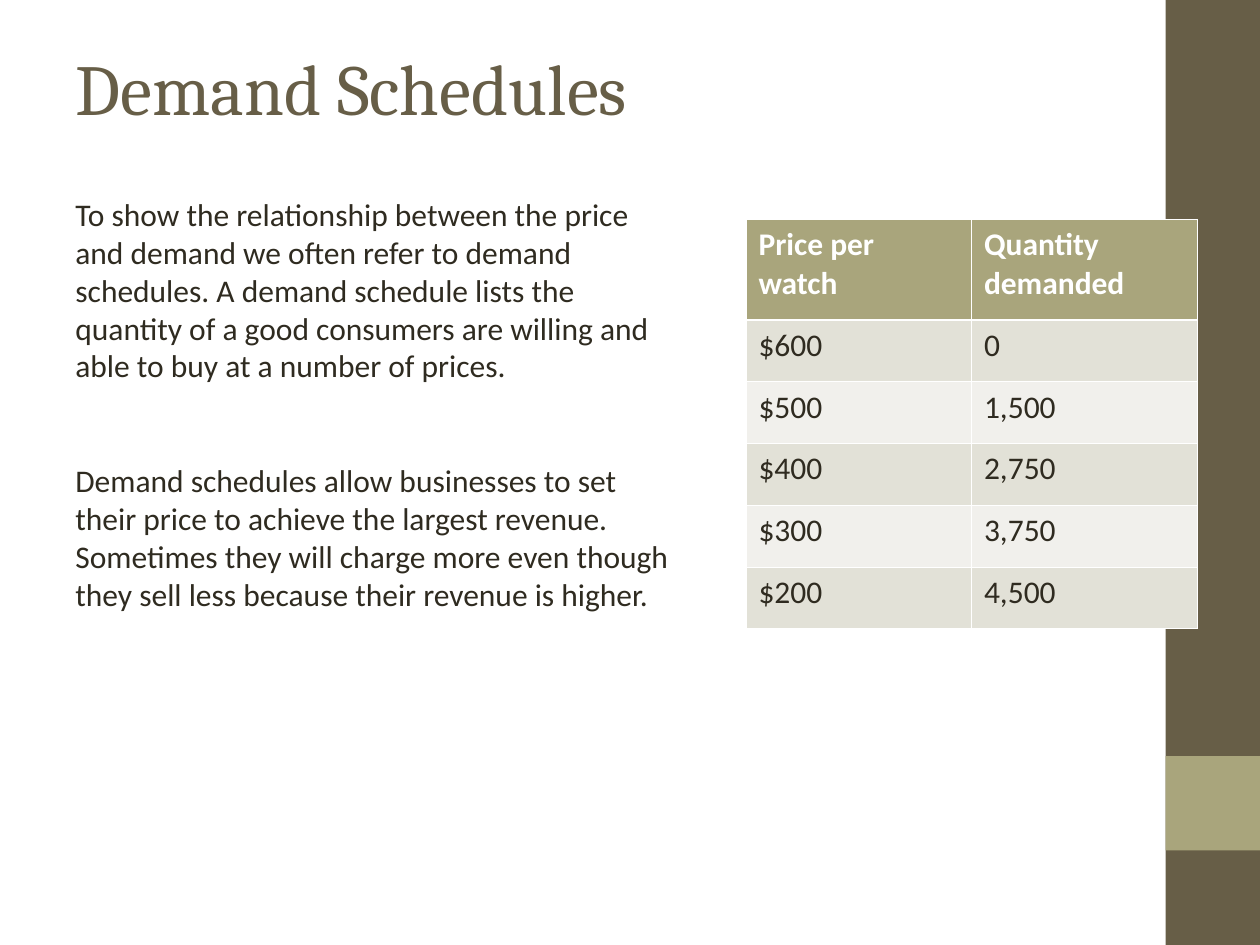
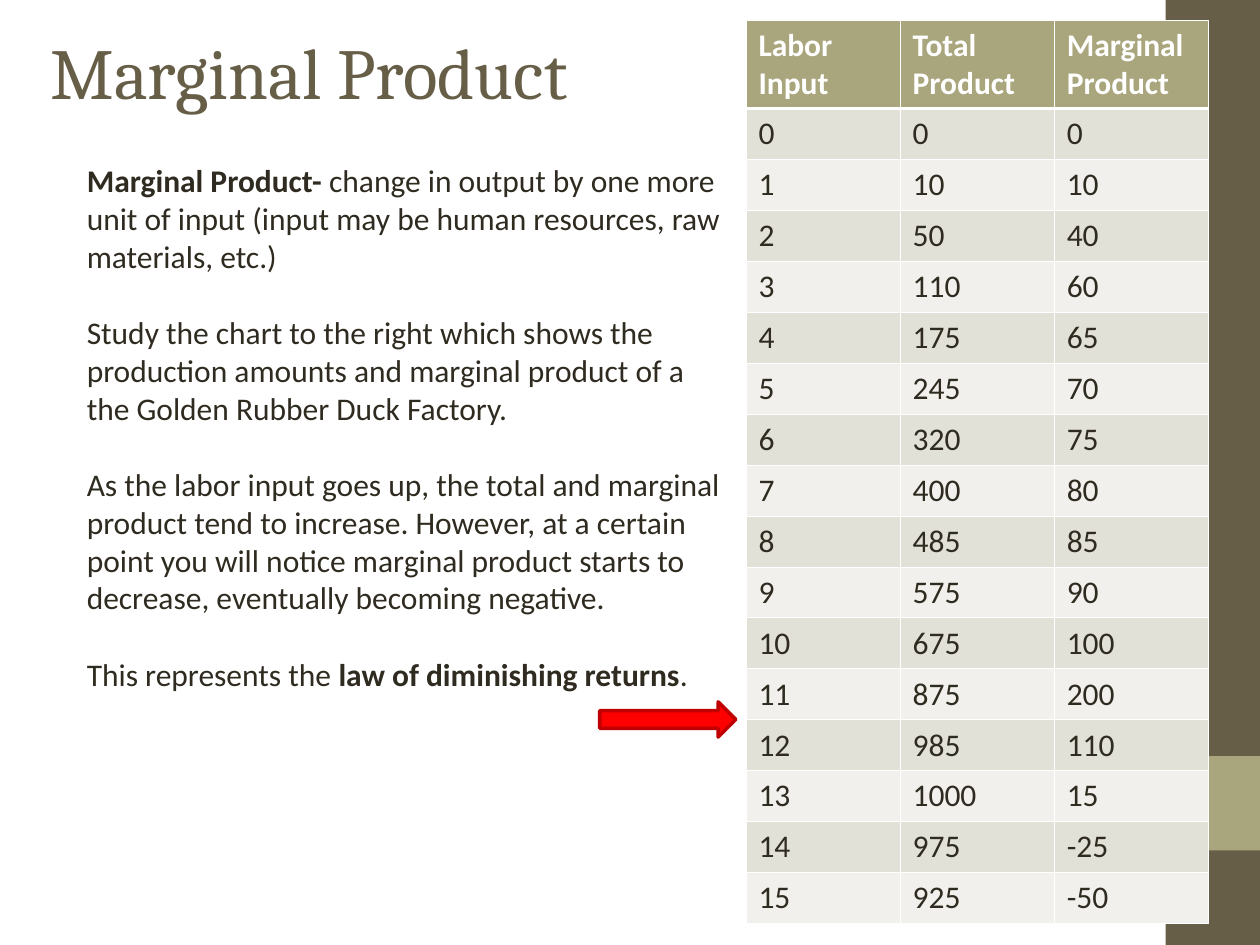
from lxml import etree
from pptx import Presentation
from pptx.dml.color import RGBColor
from pptx.enum import shapes, text
from pptx.oxml.ns import qn
from pptx.util import Inches, Pt

BROWN = RGBColor(0x67, 0x5E, 0x47)
OLIVE = RGBColor(0xA9, 0xA5, 0x7C)
INK = RGBColor(0x2F, 0x2B, 0x20)
WHITE = RGBColor(0xFF, 0xFF, 0xFF)
ROW_FILLS = [RGBColor(0xE2, 0xE1, 0xD7), RGBColor(0xF1, 0xF0, 0xEC)]
RED = RGBColor(0xFF, 0x00, 0x00)
DARK_RED = RGBColor(0xC0, 0x00, 0x00)

TITLE_FONT = {"name": "Cambria", "size": Pt(41)}
BODY_FONT = {"name": "Calibri", "size": Pt(18)}
THIN, THICK = Pt(0.45), Pt(1.47)
TITLE_ONLY = 5

DEMAND = [
    ("Price per watch", "Quantity demanded"),
    ("$600", "0"),
    ("$500", "1,500"),
    ("$400", "2,750"),
    ("$300", "3,750"),
    ("$200", "4,500"),
]
TOTAL_PRODUCT = [0, 10, 50, 110, 175, 245, 320, 400, 485, 575, 675, 875,
                 985, 1000, 975, 925]
MARGINAL_PRODUCT = [0, 10, 40, 60, 65, 70, 75, 80, 85, 90, 100, 200,
                    110, 15, -25, -50]


def set_format(font, color, bold=False, **values):
    for name, value in values.items():
        setattr(font, name, value)
    font.bold = bold
    font.color.rgb = color


def set_borders(cell, widths):
    """Draw white left, right, top and bottom borders, ahead of the cell's fill."""
    properties = cell._tc.get_or_add_tcPr()
    for index, (side, width) in enumerate(zip("LRTB", widths)):
        line = etree.Element(qn(f"a:ln{side}"), w=str(int(width)))
        fill = etree.SubElement(line, qn("a:solidFill"))
        etree.SubElement(fill, qn("a:srgbClr"), val=str(WHITE))
        properties.insert(index, line)


class Deck:
    def __init__(self):
        self.presentation = Presentation()
        self.presentation.slide_width = Inches(10)
        self.presentation.slide_height = Inches(7.5)
        self.layout = self.presentation.slide_layouts[TITLE_ONLY]
        self.slide = None

    def add_slide(self):
        self.slide = self.presentation.slides.add_slide(self.layout)
        if len(self.presentation.slides) == 1:
            self.add_layout_bands()

    def add_layout_bands(self):
        """Put the side bands at the back of the layout that all slides share."""
        for index, (top, height, color) in enumerate([(0, 7.5, BROWN), (6, 0.75, OLIVE)]):
            band = self.add_shape(shapes.MSO_SHAPE.RECTANGLE, 9.25, top, 0.75, height, color)
            self.layout.shapes.element.insert(2 + index, band.element)

    def add_shape(self, kind, left, top, width, height, fill, line=None):
        shape = self.slide.shapes.add_shape(
            kind, Inches(left), Inches(top), Inches(width), Inches(height))
        shape.shadow.inherit = False
        shape.fill.solid()
        shape.fill.fore_color.rgb = fill
        if line is None:
            shape.line.fill.background()
        else:
            shape.line.color.rgb = line
            shape.line.width = Pt(2)
        return shape

    def add_title(self, wording, left, top, width):
        title = self.slide.shapes.title
        place = {"left": left, "top": top, "width": width, "height": 0.78}
        for name, value in place.items():
            setattr(title, name, Inches(value))
        frame = title.text_frame
        frame.text = wording
        frame.auto_size = text.MSO_AUTO_SIZE.NONE
        frame.vertical_anchor = text.MSO_ANCHOR.MIDDLE
        paragraph = frame.paragraphs[0]
        paragraph.alignment = text.PP_ALIGN.LEFT
        set_format(paragraph.runs[0].font, BROWN, **TITLE_FONT)

    def add_text(self, left, top, width, height, paragraphs, gap):
        """Each paragraph is a list of (wording, bold) runs."""
        box = self.slide.shapes.add_textbox(
            Inches(left), Inches(top), Inches(width), Inches(height))
        frame = box.text_frame
        frame.word_wrap = True
        for index, runs in enumerate(paragraphs):
            paragraph = frame.add_paragraph() if index else frame.paragraphs[0]
            if index:
                paragraph.space_before = Pt(gap)
            for wording, bold in runs:
                run = paragraph.add_run()
                run.text = wording
                set_format(run.font, INK, bold, **BODY_FONT)

    def add_table(self, left, top, width, height, header_height, rows):
        table = self.slide.shapes.add_table(
            len(rows), len(rows[0]), Inches(left), Inches(top),
            Inches(width), Inches(height)).table
        for column in table.columns:
            column.width = Inches(width / len(rows[0]))
        row_height = (height - header_height) / (len(rows) - 1)
        for index, values in enumerate(rows):
            header = index == 0
            table.rows[index].height = Inches(header_height if header else row_height)
            top_line = THICK if index == 1 else THIN
            bottom_line = THICK if header else THIN
            for cell, value in zip(table.rows[index].cells, values):
                cell.text = str(value)
                cell.fill.solid()
                cell.fill.fore_color.rgb = OLIVE if header else ROW_FILLS[(index - 1) % 2]
                set_borders(cell, [THIN, THIN, top_line, bottom_line])
                font = cell.text_frame.paragraphs[0].runs[0].font
                set_format(font, WHITE if header else INK, header, **BODY_FONT)


def build_demand_schedules(deck):
    deck.add_slide()
    deck.add_title("Demand Schedules", 0.5, 0.3, 9)
    deck.add_text(0.5, 1.5, 4.92, 3.7, [
        [("To show the relationship between the price and demand we often refer to "
          "demand schedules. A demand schedule lists the quantity of a good consumers "
          "are willing and able to buy at a number of prices.", False)],
        [("Demand schedules allow businesses to set their price to achieve the largest "
          "revenue. Sometimes they will charge more even though they sell less because "
          "their revenue is higher.", False)],
    ], gap=44)
    deck.add_table(5.92, 1.74, 3.58, 3.25, 0.8, DEMAND)


def build_marginal_product(deck):
    deck.add_slide()
    deck.add_title("Marginal Product", 0.3, 0.17, 5.17)
    deck.add_text(0.59, 1.23, 5.25, 4.3, [
        [("Marginal Product- ", True),
         ("change in output by one more unit of input (input may be human resources, "
          "raw materials, etc.)", False)],
        [("Study the chart to the right which shows the production amounts and marginal "
          "product of a the Golden Rubber Duck Factory.", False)],
        [("As the labor input goes up, the total and marginal product tend to increase. "
          "However, at a certain point you will notice marginal product starts to "
          "decrease, eventually becoming negative.", False)],
        [("This represents the ", False), ("law of diminishing returns", True),
         (".", False)],
    ], gap=22)
    rows = [("Labor Input", "Total Product", "Marginal Product")]
    rows += zip(range(16), TOTAL_PRODUCT, MARGINAL_PRODUCT)
    deck.add_table(5.92, 0.16, 3.67, 7.17, 0.7, rows)
    deck.add_shape(shapes.MSO_SHAPE.RIGHT_ARROW, 4.76, 5.57, 1.08, 0.28, RED, DARK_RED)


def main():
    deck = Deck()
    build_demand_schedules(deck)
    build_marginal_product(deck)
    deck.presentation.save("out.pptx")


if __name__ == "__main__":
    main()
